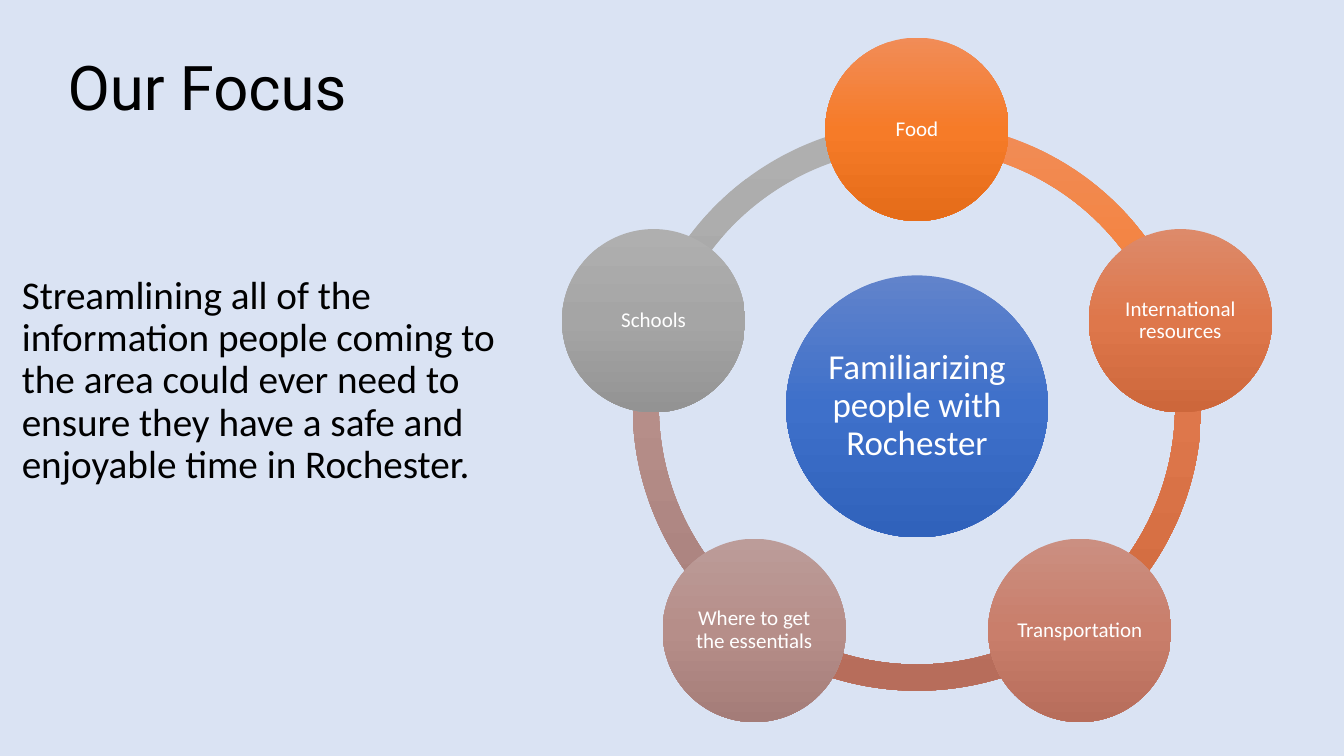
from copy import deepcopy
from math import cos, radians, sin

from pptx import Presentation
from pptx.dml.color import RGBColor
from pptx.enum.shapes import MSO_SHAPE
from pptx.enum.text import MSO_ANCHOR, MSO_AUTO_SIZE, PP_ALIGN
from pptx.util import Cm, Pt

ELLIPSE, BLOCK_ARC = MSO_SHAPE.OVAL, MSO_SHAPE.BLOCK_ARC
LEFT, CENTER = PP_ALIGN.LEFT, PP_ALIGN.CENTER
TOP, MIDDLE = MSO_ANCHOR.TOP, MSO_ANCHOR.MIDDLE
FIXED_SIZE = MSO_AUTO_SIZE.NONE

BACKGROUND = RGBColor(0xDA, 0xE3, 0xF3)
BLACK = RGBColor(0x00, 0x00, 0x00)
WHITE = RGBColor(0xFF, 0xFF, 0xFF)
BLUE = (RGBColor(0x61, 0x83, 0xCB), RGBColor(0x3E, 0x70, 0xCA), RGBColor(0x30, 0x62, 0xBB))
ORANGE = (RGBColor(0xF1, 0x8C, 0x57), RGBColor(0xF6, 0x7B, 0x28), RGBColor(0xE5, 0x6C, 0x19))
RUST = (RGBColor(0xDD, 0x8A, 0x6A), RGBColor(0xDE, 0x77, 0x4B), RGBColor(0xCD, 0x67, 0x3B))
CLAY = (RGBColor(0xCB, 0x8F, 0x81), RGBColor(0xC9, 0x7E, 0x6B), RGBColor(0xB7, 0x6D, 0x5B))
MAUVE = (RGBColor(0xBC, 0x9C, 0x99), RGBColor(0xB6, 0x8E, 0x89), RGBColor(0xA4, 0x7C, 0x78))
GRAY = (RGBColor(0xAF, 0xAF, 0xAF), RGBColor(0xA5, 0xA5, 0xA5), RGBColor(0x93, 0x93, 0x93))

TOPICS = [
    ("Food", ORANGE),
    ("International resources", RUST),
    ("Transportation", CLAY),
    ("Where to get the essentials", MAUVE),
    ("Schools", GRAY),
]
CENTER_X, CENTER_Y = 23.11, 10.24
RING_SIZE, HUB_SIZE, TOPIC_SIZE = 14.33, 6.6, 4.62
ORBIT = 6.98
RING_THICKNESS = 0.046
STEP = 360 / len(TOPICS)
ADJUSTMENT_PER_DEGREE = 0.6


def write_text(frame, text, size, font="Calibri", color=BLACK, align=LEFT,
               anchor=TOP, before=0, inset=None):
    frame.word_wrap = True
    frame.auto_size = FIXED_SIZE
    frame.vertical_anchor = anchor
    if inset is not None:
        frame.margin_left = frame.margin_right = Cm(inset)
        frame.margin_top = frame.margin_bottom = Cm(inset)
    para = frame.paragraphs[0]
    para.alignment = align
    para.line_spacing = 0.9
    para.space_before = Pt(before)
    span = para.add_run()
    span.text = text
    span.font.name = font
    span.font.size = Pt(size)
    span.font.color.rgb = color


class FocusSlide:
    def __init__(self, deck):
        self.page = deck.slides.add_slide(deck.slide_layouts[5])
        self.page.background.fill.solid()
        self.page.background.fill.fore_color.rgb = BACKGROUND

    def title(self, text, left, top, width, height):
        box = self.page.shapes.title
        box.left, box.top = Cm(left), Cm(top)
        box.width, box.height = Cm(width), Cm(height)
        write_text(box.text_frame, text, 44, font="Roboto", anchor=MIDDLE)

    def body(self, text, left, top, width, height):
        box = self.page.shapes.add_textbox(Cm(left), Cm(top), Cm(width), Cm(height))
        write_text(box.text_frame, text, 28, before=10)

    def round_shape(self, kind, x, y, size, colors):
        shape = self.page.shapes.add_shape(
            kind, Cm(x - size / 2), Cm(y - size / 2), Cm(size), Cm(size))
        shape.shadow.inherit = False
        shape.line.fill.background()
        shape.fill.gradient()
        shape.fill.gradient_angle = 270
        last_stop = shape.element.xpath(".//a:gs")[-1]
        last_stop.addnext(deepcopy(last_stop))
        for stop, color, position in zip(shape.fill.gradient_stops, colors, (0, 0.5, 1)):
            stop.color.rgb = color
            stop.position = position
        return shape

    def arc(self, start, colors):
        shape = self.round_shape(BLOCK_ARC, CENTER_X, CENTER_Y, RING_SIZE, colors)
        shape.adjustments[0] = start % 360 * ADJUSTMENT_PER_DEGREE
        shape.adjustments[1] = (start + STEP) % 360 * ADJUSTMENT_PER_DEGREE
        shape.adjustments[2] = RING_THICKNESS

    def circle(self, text, x, y, size, colors, text_size, inset):
        shape = self.round_shape(ELLIPSE, x, y, size, colors)
        write_text(shape.text_frame, text, text_size, color=WHITE,
                   align=CENTER, anchor=MIDDLE, inset=inset)


def main():
    deck = Presentation()
    deck.slide_width, deck.slide_height = Cm(33.87), Cm(19.05)
    slide = FocusSlide(deck)
    slide.title("Our Focus", 1.45, 0.43, 29.21, 3.68)
    slide.body("Streamlining all of the information people coming to the area could "
               "ever need to ensure they have a safe and enjoyable time in Rochester.",
               0.3, 6.81, 13.49, 8)
    angles = [270 + STEP * index for index in range(len(TOPICS))]
    for angle, (label, colors) in zip(angles, TOPICS):
        slide.arc(angle, colors)
    slide.circle("Familiarizing people with Rochester", CENTER_X, CENTER_Y,
                 HUB_SIZE, BLUE, 25, 0.08)
    for angle, (label, colors) in zip(angles, TOPICS):
        slide.circle(label, CENTER_X + ORBIT * cos(radians(angle)),
                     CENTER_Y + ORBIT * sin(radians(angle)),
                     TOPIC_SIZE, colors, 15, 0.05)
    deck.save("out.pptx")


if __name__ == "__main__":
    main()
